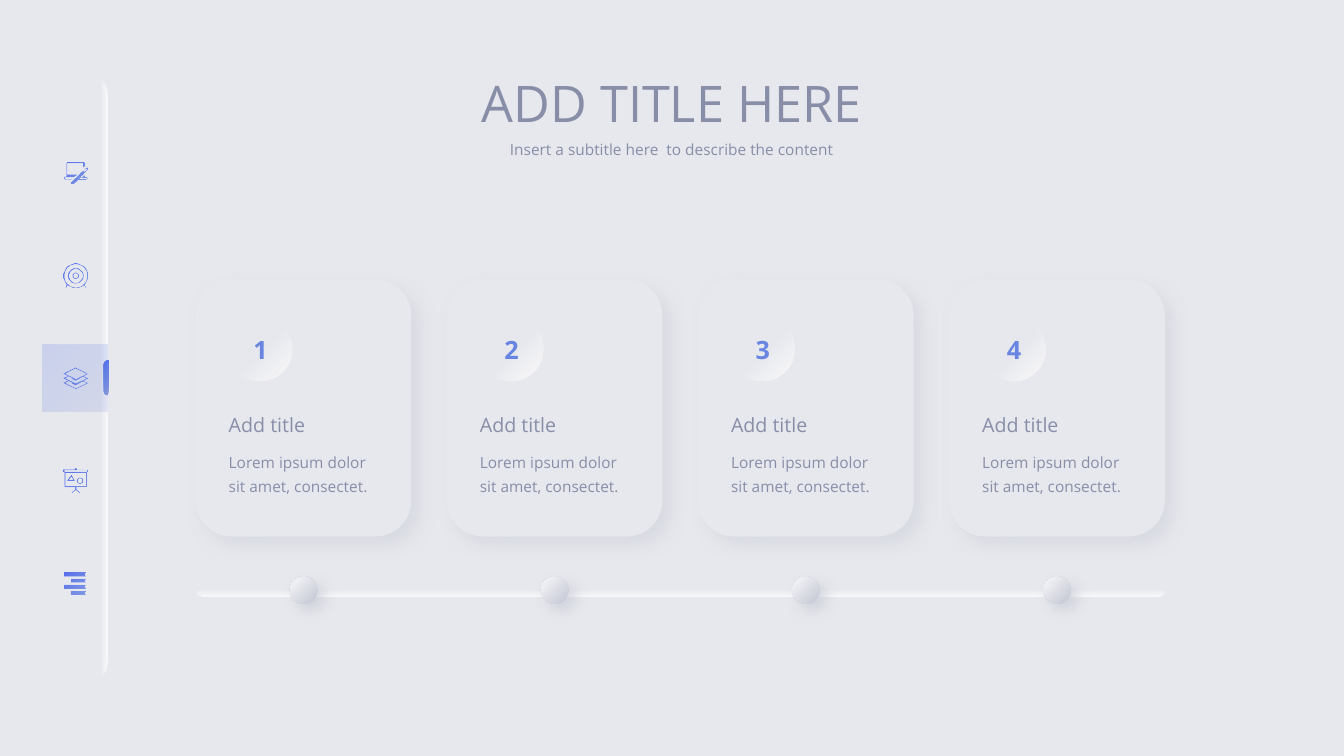
import math
import lxml.etree
import pptx
import pptx.dml.color
import pptx.enum.shapes
import pptx.enum.text
import pptx.oxml
import pptx.oxml.ns
import pptx.util

Pt = pptx.util.Pt
Shape = pptx.enum.shapes.MSO_SHAPE
Align = pptx.enum.text.PP_ALIGN
Anchor = pptx.enum.text.MSO_ANCHOR
Fit = pptx.enum.text.MSO_AUTO_SIZE

BACKGROUND, LIGHT, SHADE, GREY = "E7E8ED", "F8F8FA", "C3C6D3", "888EA8"
BLUES = [(0, "5770EB"), (50, "6885E2"), (100, "8797D9")]
ICON_BLUES = [(0, "5770EB"), (100, "6885E2", 80)]


def colour(value):
    return pptx.dml.color.RGBColor.from_string(value)


def element(parent, tag, **attributes):
    values = {name: str(value) for name, value in attributes.items()}
    return lxml.etree.SubElement(parent, pptx.oxml.ns.qn(tag), values)


def tint(parent, value, alpha=100):
    node = element(parent, "a:srgbClr", val=value)
    if alpha < 100:
        element(node, "a:alpha", val=alpha * 1000)


def gradient(stops, angle=None):
    fill = pptx.oxml.parse_xml("<a:gradFill %s/>" % pptx.oxml.ns.nsdecls("a"))
    listing = element(fill, "a:gsLst")
    for position, *paint in stops:
        tint(element(listing, "a:gs", pos=position * 1000), *paint)
    if angle is None:
        route = element(fill, "a:path", path="circle")
        element(route, "a:fillToRect", r=100000, b=100000)
    else:
        element(fill, "a:lin", ang=angle * 60000, scaled=0)
    return fill


def frame(left, top, right, bottom, edge=0.7):
    return [[(left + d, top + d), (right - d, top + d), (right - d, bottom - d), (left + d, bottom - d)]
            for d in (0, edge)]


def ring(x, y, radius, edge=0.7):
    turns = [math.tau * step / 48 for step in range(48)]
    return [[(x + r * math.cos(turn), y + r * math.sin(turn)) for turn in turns]
            for r in (radius, radius - edge)]


def mirrored(outline):
    return [outline, [(-x, y) for x, y in outline]]


def laptop_icon():
    screen = [(-2.2, 4), (-7.2, 4), (-7.7, 3.4), (-7.2, 2.9), (-1.4, 2.9), (1.4, 0.4), (-5.8, 0.4),
              (-5.8, -6.8), (5, -6.8), (5, -4), (6.5, -5), (6.5, -7.2), (5.8, -7.6), (-5.8, -7.6),
              (-6.5, -7), (-6.5, 2.2), (-7.2, 2.2), (-8.6, 3.2), (-7.2, 4.5), (-2.9, 4.5)]
    base = [(7.2, 2.5), (6.5, 2.5), (6.5, 1.1), (3.6, 3.2), (7.2, 3.2), (7.9, 3.6), (7.2, 4),
            (2.9, 4), (2.2, 4.5), (7.2, 4.5), (8.6, 3.4)]
    pen = [(7.2, -4), (8.4, -3.8), (8.6, -2.8), (-1.4, 7.6), (-3.3, 7.6), (-3.3, 6.2)]
    tip = [(7.4, -3.2), (7.9, -2.7), (5.8, -1), (5, -1.8)]
    return [screen, base, pen, tip]


def target_icon():
    foot = [(5.7, 6.6), (6.6, 8.3), (7.2, 8.1), (6.3, 6.1)]
    return ring(0, 0, 8.6) + ring(0, 0, 5.4) + ring(0, 0, 2.2) + mirrored(foot)


def layers_icon():
    outlines = [[(-8.6, -3.2), (0, -7.6), (8.6, -3.2), (0, 1.1)],
                [(-7.2, -3.2), (0, -6.8), (7.2, -3.2), (0, 0.4)]]
    sheet = [[(-8.6, 0), (-5.8, -1.4), (0, 1.1), (5.8, -1.4), (8.6, 0), (0, 4.3)],
             [(-7.2, 0), (-5, -1.1), (0, 1.6), (5, -1.1), (7.2, 0), (0, 3.5)]]
    return outlines + [[(x, y + drop) for x, y in line] for drop in (0, 3.2) for line in sheet]


def board_icon():
    triangle = [[(-5.8, 0), (-2.9, -4.2), (-0.6, 0)], [(-4.6, -0.7), (-2.9, -3), (-1.7, -0.7)]]
    leg = [(0, 5.8), (0.4, 5.8), (3, 8.2), (2.5, 8.7), (0, 6.5)]
    stem = [(-0.35, 4.3), (0.35, 4.3), (0.35, 5.8), (-0.35, 5.8)]
    knob = [(-0.7, -7.9), (-0.4, -8.6), (0.4, -8.6), (0.7, -7.9)]
    return (frame(-8.6, -7.9, 8.6, -5.8) + frame(-7.9, -5.8, 7.9, 4.3) + triangle
            + ring(2.9, 0, 2.2) + mirrored(leg) + [stem, knob])


def rows_icon():
    return [line for row in range(4)
            for line in frame((-7.7, -3.4)[row % 2], -7.6 + 4.3 * row, 7.4, -4.7 + 4.3 * row)]


class Page:
    """Holds the text style and the slide being drawn."""

    def __init__(self, deck, font):
        self.font = font
        self.slide = deck.slides.add_slide(deck.slide_layouts[1])
        self.canvas = self.slide.shapes
        self.slide.background.fill.solid()
        self.slide.background.fill.fore_color.rgb = colour(BACKGROUND)

    def place(self, box, left, top, width, height):
        box.left, box.top, box.width, box.height = map(Pt, (left, top, width, height))

    def set_text(self, box, text, size, align=Align.LEFT, anchor=Anchor.TOP, spacing=1.0, fit=Fit.NONE):
        body = box.text_frame
        body.text = text
        body.word_wrap, body.auto_size, body.vertical_anchor = True, fit, anchor
        body.margin_left = body.margin_right = 0
        body.margin_top = body.margin_bottom = Pt(3.6)
        para = body.paragraphs[0]
        para.alignment, para.line_spacing, para.space_before = align, spacing, Pt(0)
        span = para.runs[0]
        span.font.name, span.font.size, span.font.bold = self.font, Pt(size), False
        span.font.color.rgb = colour(GREY)
        return span

    def heading(self, index, area, text, size, **style):
        box = self.slide.placeholders[index]
        self.place(box, *area)
        self.set_text(box, text, size, Align.CENTER, **style)
        settings = box.text_frame.paragraphs[0]._p.get_or_add_pPr()
        settings.set("marL", "0")
        settings.set("indent", "0")
        element(settings, "a:buNone")

    def label(self, area, text, size, **style):
        box = self.canvas.add_textbox(*map(Pt, area))
        self.set_text(box, text, size, fit=Fit.SHAPE_TO_FIT_TEXT, **style)

    def paint(self, box, fill, shadow=None):
        box.shadow.inherit = False
        box.line.fill.background()
        if isinstance(fill, str):
            box.fill.solid()
            box.fill.fore_color.rgb = colour(fill)
        else:
            box._element.spPr.find(pptx.oxml.ns.qn("a:ln")).addprevious(fill)
        if shadow:
            alpha, blur, distance = shadow
            effects = box._element.spPr.find(pptx.oxml.ns.qn("a:effectLst"))
            cast = element(effects, "a:outerShdw", blurRad=int(Pt(blur)), dist=int(Pt(distance)),
                           dir=45 * 60000, algn="tl", rotWithShape=0)
            tint(cast, SHADE, alpha)
        return box

    def shape(self, kind, area, fill, shadow=None, corner=None):
        box = self.canvas.add_shape(kind, *map(Pt, area))
        if corner is not None:
            box.adjustments[0] = corner
        return self.paint(box, fill, shadow)

    def outline(self, x, y, contours, fill):
        spots = [[(Pt(x + across), Pt(y + down)) for across, down in line] for line in contours]
        builder = self.canvas.build_freeform(*spots[0][0], scale=1.0)
        builder.add_line_segments(spots[0][1:])
        for line in spots[1:]:
            builder.move_to(*line[0])
            builder.add_line_segments(line[1:])
        return self.paint(builder.convert_to_shape(), fill)

    def card(self, number, left):
        self.shape(Shape.ROUNDED_RECTANGLE, (left, 199.5, 154, 183.7), BACKGROUND, (40, 12, 8))
        inner = left + 23.6
        badge = self.shape(Shape.OVAL, (inner, 226.8, 45.4, 45.4),
                           gradient([(0, LIGHT), (50, BACKGROUND), (100, BACKGROUND)], 225))
        span = self.set_text(badge, str(number), 18, Align.CENTER, Anchor.MIDDLE)
        span.font.bold = True
        span.font.fill.background()
        empty = span._r.rPr.find(pptx.oxml.ns.qn("a:noFill"))
        span._r.rPr.replace(empty, gradient(BLUES, 45))
        self.label((inner, 290.9, 108, 24.5), "Add title", 14, anchor=Anchor.BOTTOM)
        self.label((inner, 316, 108, 40.3), "Lorem ipsum dolor sit amet, consectet.", 11, spacing=1.3)

    def sidebar(self):
        self.canvas = self.slide.shapes.add_group_shape().shapes
        self.shape(Shape.ROUNDED_RECTANGLE, (30.2, 55.4, 46.8, 429.8),
                   gradient([(0, LIGHT), (11, BACKGROUND), (100, BACKGROUND)], 180), corner=0.24)
        icons = (laptop_icon, target_icon, layers_icon, board_icon, rows_icon)
        for index, icon in enumerate(icons):
            self.outline(54, 123.7 + 73.2 * index, icon(), gradient(ICON_BLUES))
        self.canvas = self.slide.shapes.add_group_shape().shapes
        veil = [(position, value, 20) for position, value in BLUES]
        self.shape(Shape.RECTANGLE, (30.2, 246.2, 46.8, 47.5), gradient(veil, 45))
        marker = [(3.3, 0), (3.3, 25.4), (1.2, 24.5), (0.3, 23.6), (0, 22.2),
                  (0, 3.2), (0.3, 1.8), (1.2, 0.9)]
        self.outline(74.2, 257.2, [marker], gradient(BLUES))


def main():
    deck = pptx.Presentation()
    deck.slide_width, deck.slide_height = Pt(960), Pt(540)
    page = Page(deck, "Open Sans")
    page.heading(0, (284.4, 51.8, 391, 46.8), "ADD TITLE HERE", 36, anchor=Anchor.BOTTOM, spacing=0.9)
    page.heading(1, (284.4, 96.5, 391, 20.9), "Insert a subtitle here  to describe the content", 11)
    lefts = [139.8 + 179.4 * column for column in range(4)]
    for number, left in enumerate(lefts, 1):
        page.card(number, left)
    page.shape(Shape.ROUNDED_RECTANGLE, (140.4, 416.9, 692, 9.4),
               gradient([(0, LIGHT), (61, BACKGROUND)], 270), corner=0.5)
    for left in lefts:
        page.shape(Shape.OVAL, (left + 67.2, 411.8, 19.6, 19.6),
                   gradient([(0, LIGHT), (100, SHADE)]), (60, 10, 7))
    page.sidebar()
    deck.save("out.pptx")


if __name__ == "__main__":
    main()
